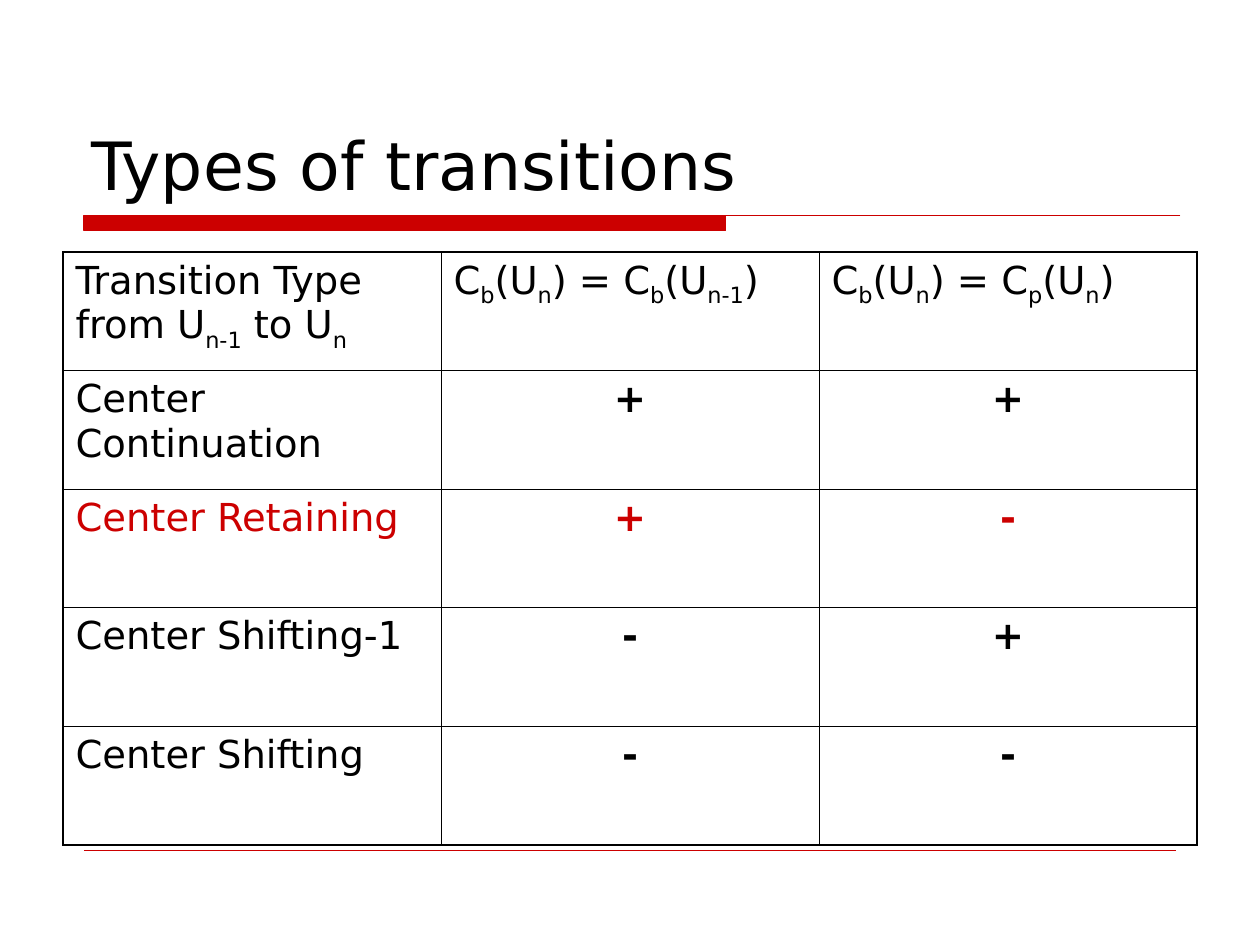
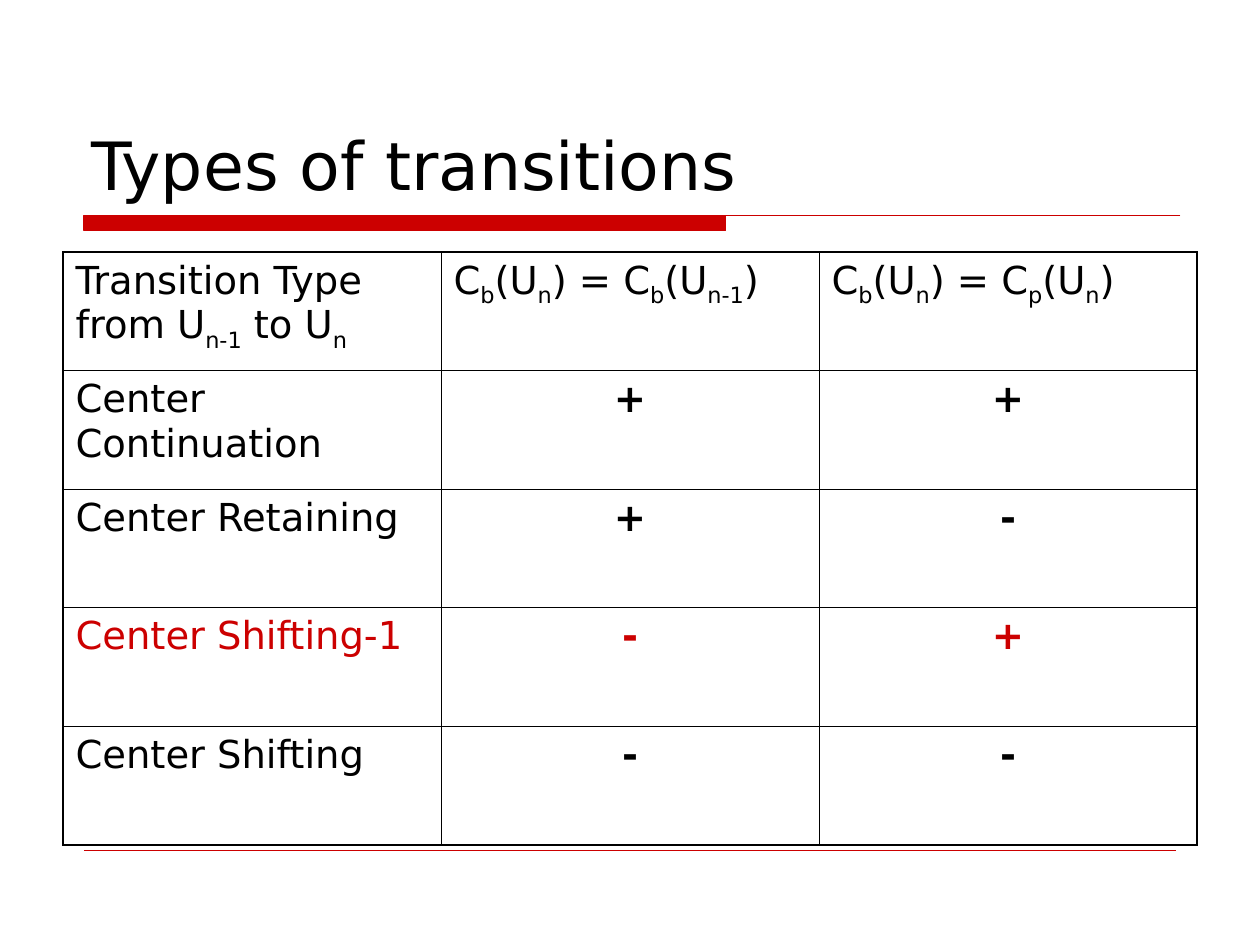
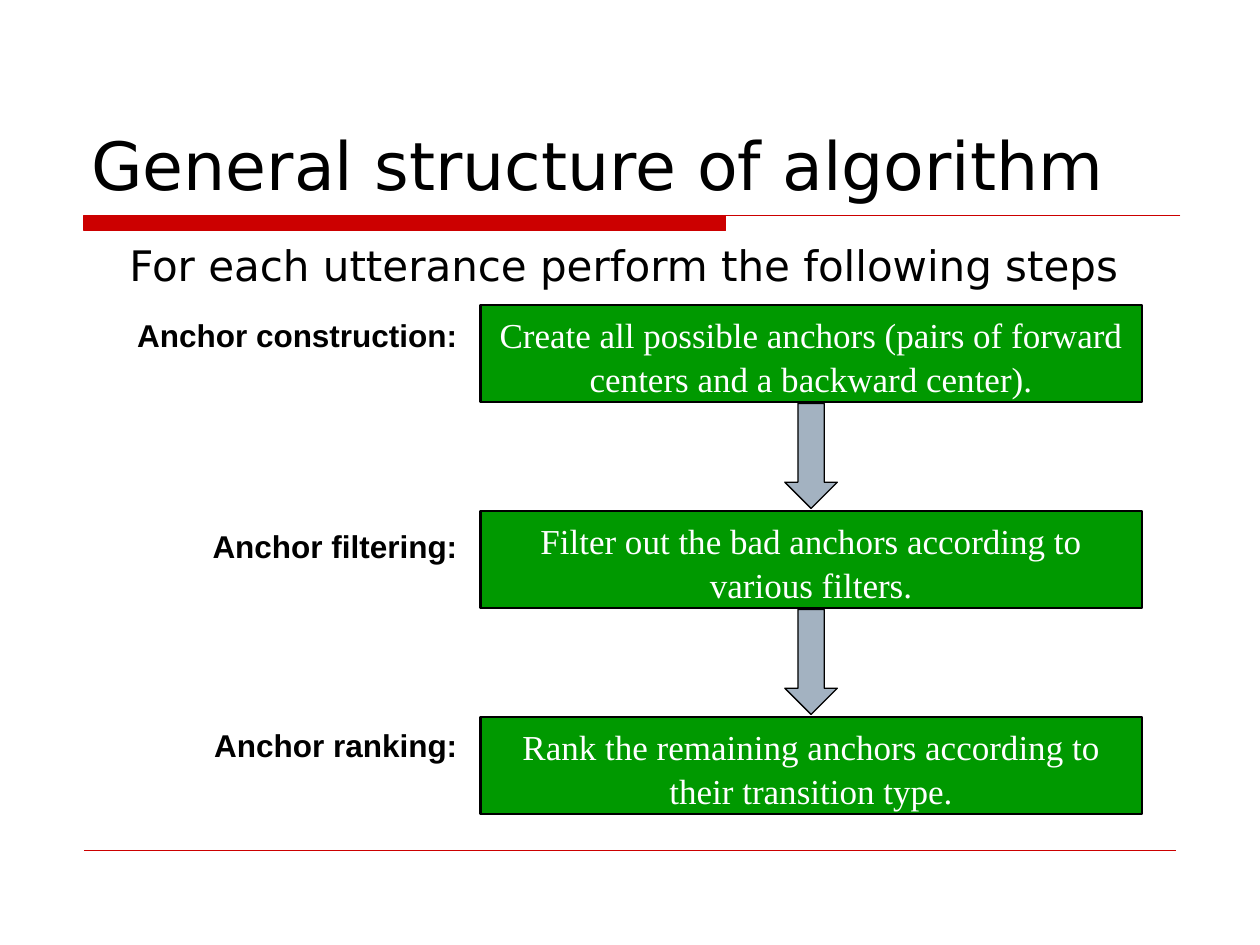
from dataclasses import dataclass

from pptx import Presentation
from pptx.dml.color import RGBColor as RGB
from pptx.enum.shapes import MSO_CONNECTOR as Link, MSO_SHAPE as Shape
from pptx.enum.text import MSO_ANCHOR as Anchor, MSO_AUTO_SIZE as Fit, PP_ALIGN as Align
from pptx.oxml.ns import qn
from pptx.util import Pt


@dataclass(frozen=True)
class Theme:
    # Colours
    black: RGB = RGB(0, 0, 0)
    white: RGB = RGB(255, 255, 255)
    red: RGB = RGB(0xCC, 0, 0)
    green: RGB = RGB(0, 0x99, 0)
    steel: RGB = RGB(0xA3, 0xB2, 0xC1)
    # Fonts
    sans: str = "DejaVu Sans"
    serif: str = "Times New Roman"
    bold: str = "Arial"
    # Type sizes
    title: int = 38
    lead: int = 24
    cell: int = 22
    step: int = 20
    label: int = 18
    # Line widths and spacing
    thick: float = 1.08
    thin: float = 0.45
    lines: float = 1.05


class Deck:
    def __init__(self, theme):
        self.theme = theme
        self.prs = Presentation()
        self.prs.slide_width, self.prs.slide_height = Pt(720), Pt(540)
        self.slide = None

    # Text
    def style(self, para, size, face, color, bold=False, align=Align.LEFT):
        para.alignment = align
        for run in para.runs:
            font = run.font
            font.size, font.name, font.bold = Pt(size), face, bold
            font.color.rgb = color

    def text(self, box, words, size, face, color, **look):
        frame = box.text_frame
        frame.word_wrap = True
        frame.vertical_anchor = Anchor.TOP
        frame.text = words
        para = frame.paragraphs[0]
        para.line_spacing = self.theme.lines
        self.style(para, size, face, color, **look)

    def note(self, words, x, y, w, h, size, face, **look):
        box = self.slide.shapes.add_textbox(Pt(x), Pt(y), Pt(w), Pt(h))
        self.text(box, words, size, face, self.theme.black, **look)
        return box

    # Slide with title, band and foot line
    def page(self, title):
        t = self.theme
        self.slide = self.prs.slides.add_slide(self.prs.slide_layouts[5])
        head = self.slide.shapes.title
        head.left, head.top, head.width, head.height = Pt(45), Pt(24), Pt(630), Pt(96)
        frame = head.text_frame
        frame.text = title
        frame.auto_size = Fit.NONE
        frame.vertical_anchor = Anchor.BOTTOM
        self.style(frame.paragraphs[0], t.title, t.sans, t.black)
        self.band()
        self.rule(48, 486, 672, 0.25)

    def band(self):
        left, top, mid, right, low = Pt(48), Pt(123), Pt(414.75), Pt(674.5), Pt(131.75)
        pen = self.slide.shapes.build_freeform(left, top)
        pen.add_line_segments([(mid, top), (mid, low), (left, low)])
        pen.move_to(left, top)
        pen.add_line_segments([(right, top)], close=False)
        self.paint(pen.convert_to_shape(), self.theme.red, self.theme.red, 0.75)

    def rule(self, x, y, end, width):
        line = self.slide.shapes.add_connector(Link.STRAIGHT, Pt(x), Pt(y), Pt(end), Pt(y))
        line.line.color.rgb = self.theme.red
        line.line.width = Pt(width)
        props = line._element.spPr
        props.append(props.makeelement(qn("a:effectLst"), {}))

    # Shapes
    def paint(self, shape, fill, edge, width):
        shape.shadow.inherit = False
        shape.fill.solid()
        shape.fill.fore_color.rgb = fill
        shape.line.color.rgb = edge
        shape.line.width = Pt(width)

    def shape(self, kind, x, y, w, h, fill, width):
        shape = self.slide.shapes.add_shape(kind, Pt(x), Pt(y), Pt(w), Pt(h))
        self.paint(shape, fill, self.theme.black, width)
        return shape

    # Table
    def table(self, rows, x, y, wide, high, hot):
        t = self.theme
        last, end = len(rows) - 1, len(rows[0]) - 1
        grid = self.slide.shapes.add_table(
            last + 1, end + 1, Pt(x), Pt(y), Pt(wide * (end + 1)), Pt(high * (last + 1))).table
        grid.first_row = grid.horz_banding = False
        for col in grid.columns:
            col.width = Pt(wide)
        for r, row in enumerate(rows):
            grid.rows[r].height = Pt(high)
            for c, words in enumerate(row):
                cell = grid.cell(r, c)
                mark = r > 0 and c > 0
                para = cell.text_frame.paragraphs[0]
                self.subs(para, words)
                self.style(para, t.cell, t.sans, t.red if r == hot else t.black,
                           bold=mark, align=Align.CENTER if mark else Align.LEFT)
                cell.fill.background()
                self.edges(cell, L=c == 0, R=c == end, T=r == 0, B=r == last)

    def subs(self, para, words):
        """Text between underscores becomes subscript."""
        for i, part in enumerate(words.split("_")):
            if part:
                run = para.add_run()
                run.text = part
                if i % 2:
                    run.font._element.set("baseline", "-25000")

    def edges(self, cell, **outer):
        props = cell._tc.get_or_add_tcPr()
        for i, (side, out) in enumerate(outer.items()):
            width = Pt(self.theme.thick if out else self.theme.thin)
            line = props.makeelement(qn(f"a:ln{side}"), {"w": str(width)})
            fill = line.makeelement(qn("a:solidFill"), {})
            fill.append(fill.makeelement(qn("a:srgbClr"), {"val": str(self.theme.black)}))
            line.append(fill)
            props.insert(i, line)


MOVES = [
    ("Transition Type from U_n-1_ to U_n_", "C_b_(U_n_) = C_b_(U_n-1_)", "C_b_(U_n_) = C_p_(U_n_)"),
    ("Center Continuation", "+", "+"),
    ("Center Retaining", "+", "-"),
    ("Center Shifting-1", "-", "+"),
    ("Center Shifting", "-", "-"),
]

# Label, its left and top, and the text of the step
STEPS = [
    ("Anchor construction:", 66.5, 175.75,
     "Create all possible anchors (pairs of forward centers and a backward center)."),
    ("Anchor filtering:", 85.75, 296.5,
     "Filter out the bad anchors according to various filters."),
    ("Anchor ranking:", 100, 410.5,
     "Rank the remaining anchors according to their transition type."),
]


def main():
    t = Theme()
    deck = Deck(t)

    # Tables, each with one row in red
    for hot in (2, 3):
        deck.page("Types of transitions")
        deck.table(MOVES, 36, 144, 216, 67.75, hot)

    # Flow of steps
    deck.page("General structure of algorithm")
    top, pitch, right = 174.25, 117.75, 268.5
    for i, (label, x, y, words) in enumerate(STEPS):
        level = top + i * pitch
        if i < len(STEPS) - 1:
            deck.shape(Shape.DOWN_ARROW, 448.5, level + 56.25, 30, 60, t.steel, 0.75)
        box = deck.shape(Shape.RECTANGLE, 274.5, level, 378, 55.5, t.green, 1.5)
        deck.text(box, words, t.step, t.serif, t.white, align=Align.CENTER)
        deck.note(label, x, y, right - x, 29, t.label, t.bold, bold=True, align=Align.RIGHT)
    lead = deck.note("For each utterance perform the following steps",
                     30, 132, 648, 36.5, t.lead, t.sans)
    lead.text_frame.margin_left = Pt(44)

    deck.prs.save("out.pptx")


if __name__ == "__main__":
    main()
